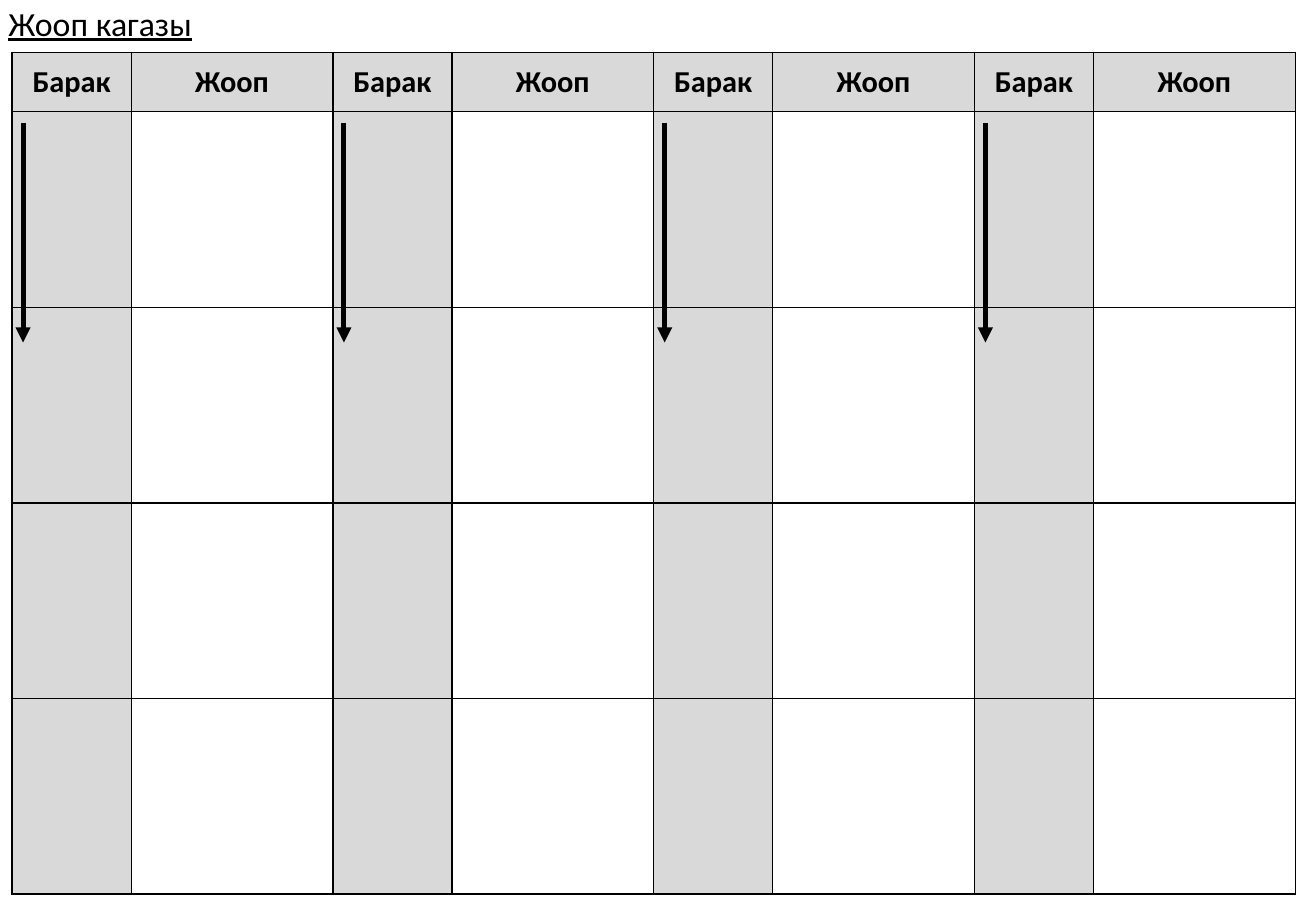
"""Build an answer sheet: a table of four page-and-answer column pairs with downward arrows."""
from dataclasses import dataclass

from lxml.etree import SubElement
from pptx import Presentation
from pptx.dml.color import RGBColor
from pptx.enum.shapes import MSO_CONNECTOR
from pptx.enum.text import MSO_ANCHOR, MSO_AUTO_SIZE, PP_ALIGN
from pptx.oxml.ns import qn
from pptx.slide import Slide
from pptx.table import _Cell
from pptx.text.text import _Paragraph, _Run
from pptx.util import Inches, Pt

BLACK = RGBColor(0x00, 0x00, 0x00)
WHITE = RGBColor(0xFF, 0xFF, 0xFF)
GREY = RGBColor(0xD9, 0xD9, 0xD9)
FONT = "Calibri"

SLIDE_WIDTH, SLIDE_HEIGHT = 10.83, 7.5
TABLE_LEFT, TABLE_TOP = 0.1, 0.43
HEADER_HEIGHT, ROW_HEIGHT = 0.49, 1.61
PAIR_COUNT, ANSWER_ROWS = 4, 4
ARROW_INSET, ARROW_LENGTH = 0.09, 1.81


@dataclass(frozen=True)
class Column:
    heading: str
    width: float
    body_fill: RGBColor


COLUMN_PAIR = (Column("Барак", 0.98, GREY), Column("Жооп", 1.66, WHITE))
PAIR_WIDTH = sum(column.width for column in COLUMN_PAIR)


def add_run(paragraph: _Paragraph, text: str, size: int) -> _Run:
    run = paragraph.add_run()
    run.text = text
    run.font.name = FONT
    run.font.size = Pt(size)
    run.font.color.rgb = BLACK
    return run


def style_cell(cell: _Cell, fill: RGBColor) -> None:
    properties = cell._tc.get_or_add_tcPr()
    for side in ("a:lnL", "a:lnR", "a:lnT", "a:lnB"):
        border = SubElement(properties, qn(side), w=str(Pt(1)))
        solid_fill = SubElement(border, qn("a:solidFill"))
        SubElement(solid_fill, qn("a:srgbClr"), val=str(BLACK))
    cell.fill.solid()
    cell.fill.fore_color.rgb = fill
    cell.vertical_anchor = MSO_ANCHOR.MIDDLE


def add_answer_table(slide: Slide) -> None:
    columns = COLUMN_PAIR * PAIR_COUNT
    heights = [HEADER_HEIGHT] + [ROW_HEIGHT] * ANSWER_ROWS
    table = slide.shapes.add_table(
        len(heights), len(columns), Inches(TABLE_LEFT), Inches(TABLE_TOP),
        Inches(PAIR_WIDTH * PAIR_COUNT), Inches(sum(heights)),
    ).table
    for row, height in zip(table.rows, heights):
        row.height = Inches(height)
    for column_index, column in enumerate(columns):
        table.columns[column_index].width = Inches(column.width)
        for row_index in range(len(heights)):
            fill = GREY if row_index == 0 else column.body_fill
            style_cell(table.cell(row_index, column_index), fill)
        paragraph = table.cell(0, column_index).text_frame.paragraphs[0]
        paragraph.alignment = PP_ALIGN.CENTER
        add_run(paragraph, column.heading, 18).font.bold = True


def add_title(slide: Slide) -> None:
    title = slide.shapes.add_textbox(Inches(-0.03), Inches(-0.03), Inches(1.72), Inches(0.44))
    title.text_frame.word_wrap = False
    title.text_frame.auto_size = MSO_AUTO_SIZE.SHAPE_TO_FIT_TEXT
    add_run(title.text_frame.paragraphs[0], "Жооп кагазы", 20).font.underline = True


def add_arrow(slide: Slide, pair_index: int) -> None:
    x = Inches(TABLE_LEFT + pair_index * PAIR_WIDTH + ARROW_INSET)
    top = TABLE_TOP + HEADER_HEIGHT + ARROW_INSET
    arrow = slide.shapes.add_connector(
        MSO_CONNECTOR.STRAIGHT, x, Inches(top), x, Inches(top + ARROW_LENGTH)
    )
    arrow.line.color.rgb = BLACK
    arrow.line.width = Pt(3)
    SubElement(arrow.line._get_or_add_ln(), qn("a:tailEnd"), type="triangle")
    SubElement(arrow._element.spPr, qn("a:effectLst"))


def main() -> None:
    presentation = Presentation()
    presentation.slide_width = Inches(SLIDE_WIDTH)
    presentation.slide_height = Inches(SLIDE_HEIGHT)
    slide = presentation.slides.add_slide(presentation.slide_layouts[6])
    add_answer_table(slide)
    add_title(slide)
    for pair_index in range(PAIR_COUNT):
        add_arrow(slide, pair_index)
    presentation.save("out.pptx")


if __name__ == "__main__":
    main()
